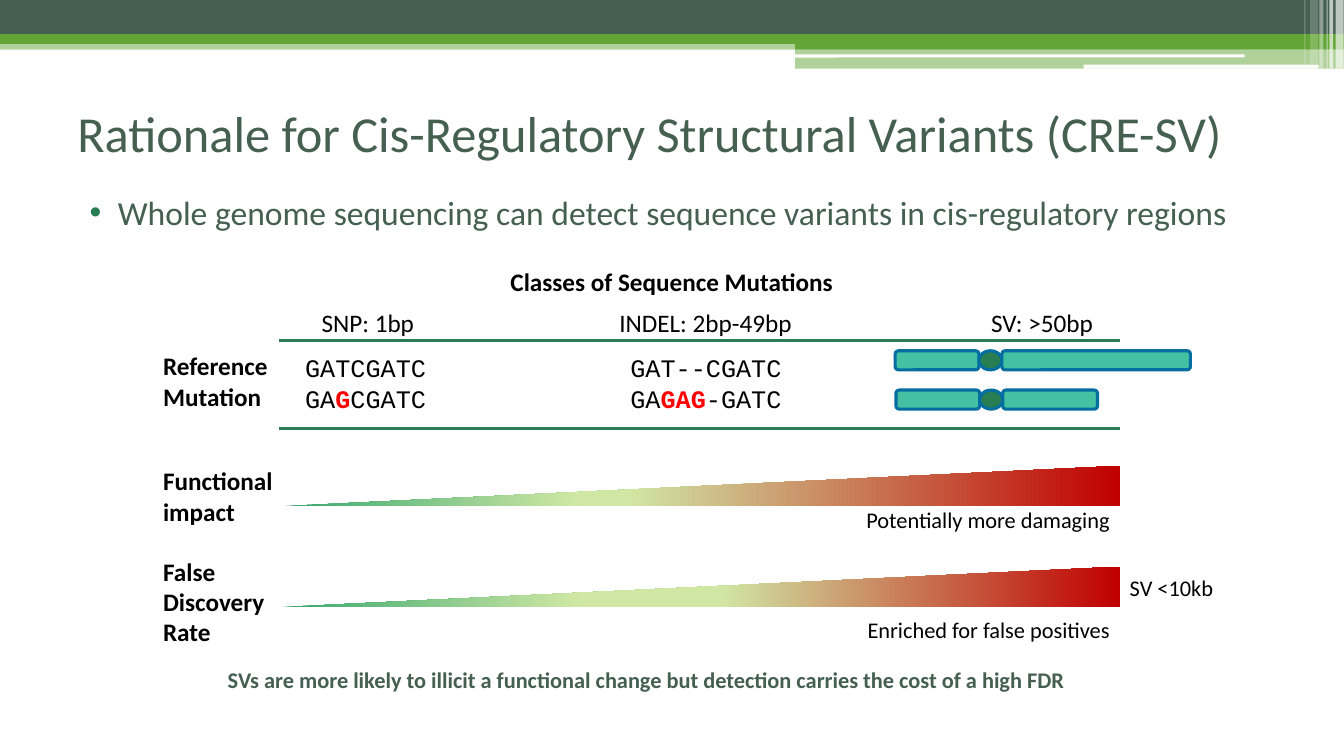
import lxml.etree
import pptx
import pptx.dml.color
import pptx.enum.shapes
import pptx.enum.text
import pptx.oxml
import pptx.oxml.ns
import pptx.util

Cm = pptx.util.Cm
Pt = pptx.util.Pt
SHAPE = pptx.enum.shapes.MSO_SHAPE
ALIGN = pptx.enum.text.PP_ALIGN
ANCHOR = pptx.enum.text.MSO_ANCHOR
qn = pptx.oxml.ns.qn

COLORS = {
    "slate": "455F51", "leaf": "63A537", "white": "FFFFFF", "black": "000000",
    "red": "FF0000", "forest": "297D53", "teal": "44C1A3", "blue": "056EA0",
    "mint": "37A76F", "lime": "D1E8A5", "crimson": "C00000",
}


def rgb(name):
    return pptx.dml.color.RGBColor.from_string(COLORS[name])


def set_all(target, values):
    for name, value in values.items():
        setattr(target, name, value)


def add_text(slide, box, paragraphs, size=18, color="black", bold=False,
             font="Calibri", align=ALIGN.LEFT, anchor=ANCHOR.TOP):
    shape = slide.shapes.add_textbox(*map(Cm, box))
    frame = shape.text_frame
    set_all(frame, {"word_wrap": True, "vertical_anchor": anchor})
    for index, runs in enumerate(paragraphs):
        paragraph = frame.add_paragraph() if index else frame.paragraphs[0]
        paragraph.alignment = align
        for text, marked in runs:
            run = paragraph.add_run()
            run.text = text
            set_all(run.font, {"name": font, "size": Pt(size), "bold": bold or marked})
            run.font.color.rgb = rgb("red" if marked else color)
    return shape


def add_label(slide, box, text, **formats):
    return add_text(slide, box, [[(text, False)]], **formats)


def add_block(slide, kind, box, fill, opacity=100, line=None):
    shape = slide.shapes.add_shape(kind, *map(Cm, box))
    shape.shadow.inherit = False
    shape.fill.solid()
    shape.fill.fore_color.rgb = rgb(fill)
    if opacity < 100:
        color = next(shape.element.spPr.iter(qn("a:srgbClr")))
        lxml.etree.SubElement(color, qn("a:alpha"), val=str(opacity * 1000))
    if line:
        shape.line.color.rgb = rgb(line)
        shape.line.width = Pt(2.25)
    else:
        shape.line.fill.background()
    return shape


def add_header(slide, box):
    left, top, width, height = box
    right = left + width
    accent = 13.83
    bands = [
        (0, 1.02, width, 0.23, "leaf", 50),
        (0, 0, width, 0.86, "slate", 100),
        (0, 0.86, width, 0.25, "leaf", 100),
        (width - accent, 0.99, accent, 0.25, "leaf", 100),
        (width - accent, 1.22, accent, 0.51, "leaf", 50),
    ]
    for x, y, band_width, band_height, fill, opacity in bands:
        add_block(slide, SHAPE.RECTANGLE, (left + x, top + y, band_width, band_height),
                  fill, opacity)
    for x, y, slit_width, slit_height in [(20.02, 1.37, 11.35, 0.08),
                                          (27.31, 1.63, 5.92, 0.1)]:
        add_block(slide, SHAPE.ROUNDED_RECTANGLE,
                  (left + x, top + y, slit_width, slit_height), "white")
    stripes = [(0.21, 0.2, 1, 65), (0.37, 0.1, 1, 65), (0.44, 0.03, 1, 60),
               (0.62, 0.1, 1, 40), (0.85, 0.2, 0.94, 20), (1, 0.03, 0.94, 30)]
    for inset, stripe_width, share, opacity in stripes:
        add_block(slide, SHAPE.RECTANGLE,
                  (right - inset, top, stripe_width, height * share), "white", opacity)


def add_heading(slide, box):
    left, top, width, height = box
    add_label(slide, (left, top, width, 2.97),
              "Rationale for Cis-Regulatory Structural Variants (CRE-SV)",
              size=36, color="slate", anchor=ANCHOR.MIDDLE)
    shape = add_label(
        slide, (left, top + 2.85, width, height - 2.85),
        "Whole genome sequencing can detect sequence variants in cis-regulatory regions",
        size=24, color="slate")
    properties = shape.text_frame.paragraphs[0]._p.get_or_add_pPr()
    set_margins = {"marL": Cm(1.02), "indent": Cm(-0.71)}
    for name, value in set_margins.items():
        properties.set(name, str(value))
    bullet_color = lxml.etree.SubElement(properties, qn("a:buClr"))
    lxml.etree.SubElement(bullet_color, qn("a:srgbClr"), val=COLORS["forest"])
    lxml.etree.SubElement(properties, qn("a:buFont"), typeface="Arial")
    lxml.etree.SubElement(properties, qn("a:buChar"), char="•")


def add_rule(slide, left, top, width):
    rule = slide.shapes.add_connector(pptx.enum.shapes.MSO_CONNECTOR.STRAIGHT,
                                      Cm(left), Cm(top), Cm(left + width), Cm(top))
    rule.line.color.rgb = rgb("forest")
    rule.line.width = Pt(2.25)
    lxml.etree.SubElement(rule.element.spPr, qn("a:effectLst"))


def add_chromosome(slide, left, top, long_arm):
    parts = [(SHAPE.ROUNDED_RECTANGLE, 2.11, "teal"), (SHAPE.OVAL, 0.58, "forest"),
             (SHAPE.ROUNDED_RECTANGLE, long_arm, "teal")]
    for kind, width, fill in parts:
        add_block(slide, kind, (left, top, width, 0.48), fill, line="blue")
        left += width


def add_mutation_classes(slide, box):
    left, top, width, height = box
    add_label(slide, (left + 1.45, top, 23.24, 1.02), "Classes of Sequence Mutations",
              bold=True, align=ALIGN.CENTER)
    for center, label_width, text in [(5.41, 4.47, "SNP: 1bp"),
                                      (13.92, 5.33, "INDEL: 2bp-49bp"),
                                      (22.4, 4.47, "SV: >50bp")]:
        add_label(slide, (left + center - label_width / 2, top + 1.04, label_width, 1.02),
                  text, align=ALIGN.CENTER)
    for y in (2.01, height):
        add_rule(slide, left + 3.18, top + y, width - 3.18)
    for y, text in [(2.13, "Reference"), (2.9, "Mutation")]:
        add_label(slide, (left, top + y, 5.05, 1.02), text, bold=True)
    sequences = [
        (3.58, 3.68, ALIGN.LEFT, "GATCGATC", ("GA", "G", "CGATC")),
        (11.35, 5.16, ALIGN.CENTER, "GAT--CGATC", ("GA", "GAG", "-GATC")),
    ]
    for x, sequence_width, align, reference, (before, changed, after) in sequences:
        add_text(slide, (left + x, top + 2.18, sequence_width, 1.8),
                 [[(reference, False)], [(before, False), (changed, True), (after, False)]],
                 font="Courier New", align=align)
    for x, y, long_arm in [(18.7, 2.26, 4.75), (18.72, 3.25, 2.39)]:
        add_chromosome(slide, left + x, top + y, long_arm)


def add_wedge(slide, box, plateau_end):
    left, top, width, height = box
    wedge = add_block(slide, SHAPE.ISOSCELES_TRIANGLE,
                      (left + (width - height) / 2, top - (width - height) / 2,
                       height, width), "mint")
    wedge.adjustments[0] = 1
    wedge.rotation = 270
    wedge.element.spPr.find(qn("a:xfrm")).set("flipH", "1")
    stops = [(0, "mint"), (36, "lime"), (plateau_end, "lime"), (100, "crimson")]
    stop_xml = "".join(
        f'<a:gs pos="{position * 1000}"><a:srgbClr val="{COLORS[color]}"/></a:gs>'
        for position, color in stops)
    gradient = pptx.oxml.parse_xml(
        f'<a:gradFill {pptx.oxml.ns.nsdecls("a")} rotWithShape="1">'
        f'<a:gsLst>{stop_xml}</a:gsLst><a:lin ang="5400000" scaled="0"/></a:gradFill>')
    solid = wedge.element.spPr.find(qn("a:solidFill"))
    wedge.element.spPr.replace(solid, gradient)


def add_trend(slide, box, label, caption, wedge_top, caption_top, plateau_end):
    left, top, width, height = box
    add_wedge(slide, (left + 3.18, top + wedge_top, width - 3.18, 1.02), plateau_end)
    add_label(slide, (left, top, 4.19, height), label, bold=True)
    add_label(slide, (left + width - 6.86, top + caption_top, 6.86, 0.94), caption,
              size=16, align=ALIGN.RIGHT)


def add_conclusion(slide, box):
    left, top, width, height = box
    add_label(slide, (left + 0.3, top, width - 0.3, height),
              "SVs are more likely to illicit a functional change but detection "
              "carries the cost of a high FDR",
              size=16, color="slate", bold=True, align=ALIGN.CENTER)


def main():
    presentation = pptx.Presentation()
    set_all(presentation, {"slide_width": Cm(33.87), "slide_height": Cm(19.05)})
    slide = presentation.slides.add_slide(presentation.slide_layouts[6])
    add_header(slide, (0, 0, 33.87, 1.73))
    add_heading(slide, (1.7, 1.85, 30.48, 4.65))
    add_mutation_classes(slide, (3.86, 6.58, 24.36, 4.22))
    add_trend(slide, (3.86, 11.61, 24.36, 1.8), "Functional impact",
              "Potentially more damaging", 0.13, 1.02, 41)
    add_trend(slide, (3.86, 13.89, 24.36, 2.57), "False Discovery Rate",
              "Enriched for false positives", 0.39, 1.5, 52)
    add_label(slide, (28.22, 14.35, 3.71, 0.94), "SV <10kb", size=16)
    add_conclusion(slide, (4.06, 16.66, 24.16, 1.32))
    presentation.save("out.pptx")


if __name__ == "__main__":
    main()
